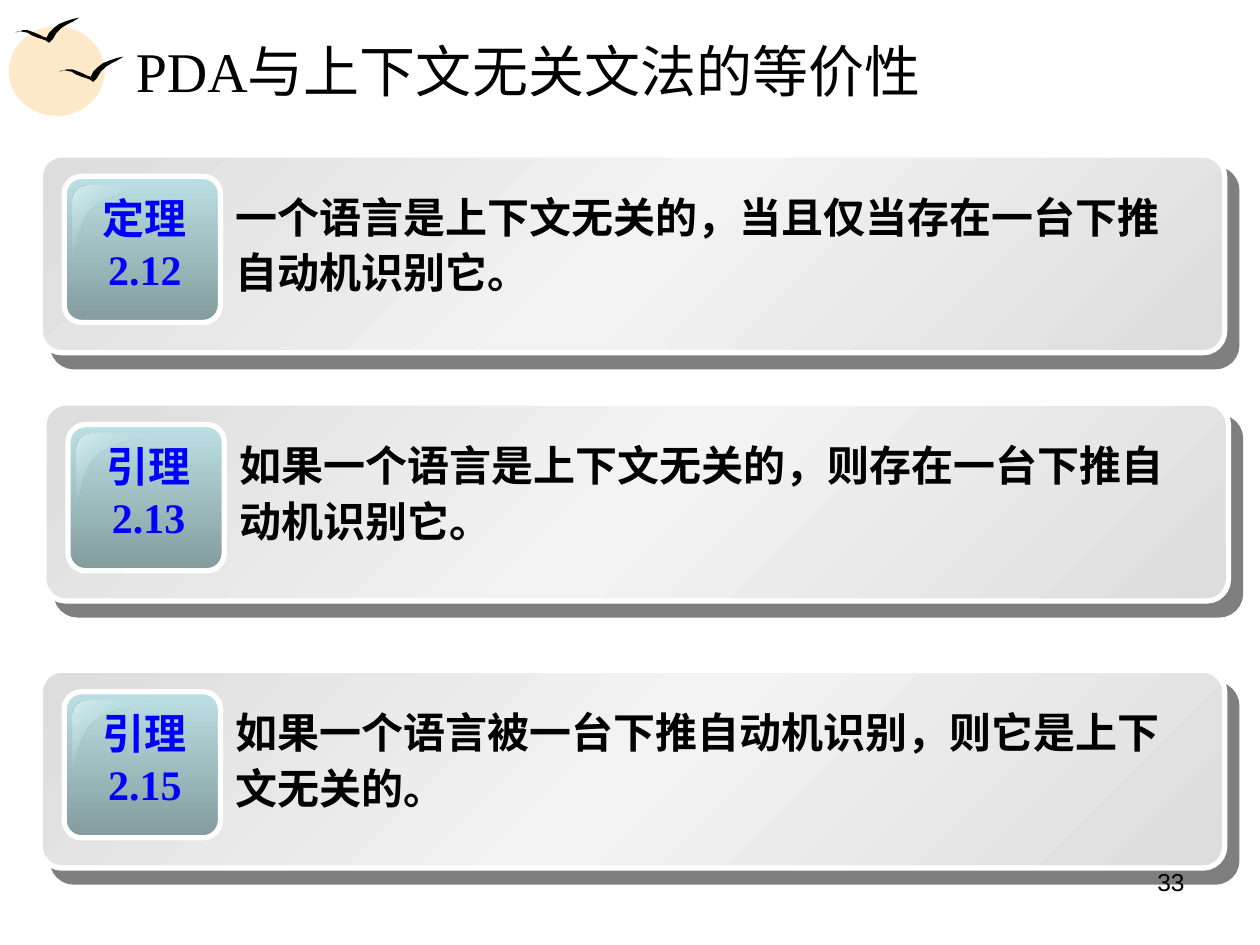
from lxml import etree
from pptx import Presentation
from pptx import util as u
from pptx.dml.color import RGBColor
from pptx.enum import shapes, text
from pptx.oxml.ns import qn

BLACK = RGBColor(0x00, 0x00, 0x00)
WHITE = RGBColor(0xFF, 0xFF, 0xFF)
BLUE = RGBColor(0x00, 0x00, 0xFF)
SUN = RGBColor(0xFE, 0xE9, 0xC8)
SILVER = RGBColor(0xDD, 0xDD, 0xDD)
PALE = RGBColor(0xF3, 0xF3, 0xF3)
TEAL = RGBColor(0xBB, 0xE0, 0xE3)
DARK_TEAL = RGBColor(0x83, 0x9C, 0x9E)
SHINE = RGBColor(0xDA, 0xEE, 0xF0)

# Bird outline, in hundredths of an inch from its top left corner
BIRD = [(0, 12), (3, 11), (6, 10), (10, 10), (13, 11), (18, 13), (22, 15), (25, 16),
        (27, 12), (31, 8), (35, 5), (40, 3), (46, 1), (51, 0), (46, 3), (42, 5),
        (37, 8), (33, 12), (30, 17), (28, 19), (27, 20), (24, 18), (21, 17),
        (18, 16), (13, 14), (10, 12), (5, 11), (2, 11)]

CARDS = [
    (0.32, 1.23, "定理", "2.12", "一个语言是上下文无关的，当且仅当存在一台下推自动机识别它。"),
    (0.35, 3.2, "引理", "2.13", "如果一个语言是上下文无关的，则存在一台下推自动机识别它。"),
    (0.32, 5.32, "引理", "2.15", "如果一个语言被一台下推自动机识别，则它是上下文无关的。"),
]


def bezier(start, first, second, end, steps=12):
    """Points along a cubic curve, without its start."""
    points = []
    for step in range(1, steps + 1):
        t = step / steps
        weights = ((1 - t) ** 3, 3 * t * (1 - t) ** 2, 3 * t * t * (1 - t), t ** 3)
        points.append(tuple(
            sum(w * p[axis] for w, p in zip(weights, (start, first, second, end)))
            for axis in (0, 1)))
    return points


# Highlight of a badge, in inches from its top left corner
GLOSS = ([(0.13, 0)]
         + bezier((0.13, 0), (0.06, 0), (0, 0.05), (0, 0.12))
         + [(0, 0.57)]
         + bezier((0, 0.57), (0.03, 0.58), (0.02, 0.3), (0.17, 0.17))
         + bezier((0.17, 0.17), (0.32, 0.04), (0.62, 0.03), (0.61, 0)))


class Painter:
    serif, sans = "Times New Roman", "Arial"

    def __init__(self, page):
        self.page = page
        self.canvas = page.shapes

    def open_group(self):
        self.canvas = self.page.shapes.add_group_shape().shapes

    def close_group(self):
        self.canvas = self.page.shapes

    def plain(self, shape, color):
        shape.shadow.inherit = False
        shape.fill.solid()
        shape.fill.fore_color.rgb = color
        shape.line.fill.background()
        return shape

    def gradient(self, shape, stops, angle):
        solid = shape._element.spPr.find(qn("a:solidFill"))
        grad = etree.Element(qn("a:gradFill"), rotWithShape="1")
        stop_list = etree.SubElement(grad, qn("a:gsLst"))
        for place, color, alpha in stops:
            stop = etree.SubElement(stop_list, qn("a:gs"), pos=str(place * 1000))
            tone = etree.SubElement(stop, qn("a:srgbClr"), val=str(color))
            if alpha < 100:
                etree.SubElement(tone, qn("a:alpha"), val=str(alpha * 1000))
        etree.SubElement(grad, qn("a:lin"), ang=str(angle * 60000), scaled="1")
        solid.getparent().replace(solid, grad)

    def ellipse(self, left, top, width, height, color):
        shape = self.canvas.add_shape(
            shapes.MSO_SHAPE.OVAL, *map(u.Inches, (left, top, width, height)))
        self.plain(shape, color)

    def rounded(self, left, top, width, height, corner, stops, angle):
        shape = self.canvas.add_shape(
            shapes.MSO_SHAPE.ROUNDED_RECTANGLE,
            *map(u.Inches, (left, top, width, height)))
        shape.adjustments[0] = corner
        self.plain(shape, WHITE)
        self.gradient(shape, stops, angle)
        shape.line.color.rgb = WHITE
        shape.line.width = u.Pt(3)
        return shape

    def drop_shadow(self, shape):
        effects = shape._element.spPr.find(qn("a:effectLst"))
        shadow = etree.SubElement(
            effects, qn("a:outerShdw"), dist=str(u.Pt(10.6)),
            dir=str(49 * 60000), algn="ctr", rotWithShape="0")
        tone = etree.SubElement(shadow, qn("a:srgbClr"), val=str(BLACK))
        etree.SubElement(tone, qn("a:alpha"), val="50000")

    def outline(self, left, top, points, color):
        spots = [(u.Inches(left + x), u.Inches(top + y)) for x, y in points]
        builder = self.canvas.build_freeform(*spots[0])
        builder.add_line_segments(spots[1:], close=True)
        return self.plain(builder.convert_to_shape(), color)

    def text(self, left, top, width, height, lines, size, color=BLACK, font=None,
             bold=False, align=text.PP_ALIGN.LEFT, anchor=text.MSO_ANCHOR.TOP,
             spacing=1.0, grow=False):
        box = self.canvas.add_textbox(*map(u.Inches, (left, top, width, height)))
        frame = box.text_frame
        frame.word_wrap = True
        frame.vertical_anchor = anchor
        if grow:
            frame.auto_size = text.MSO_AUTO_SIZE.SHAPE_TO_FIT_TEXT
        for index, line in enumerate(lines):
            para = frame.add_paragraph() if index else frame.paragraphs[0]
            para.alignment = align
            para.line_spacing = spacing
            span = para.add_run()
            span.text = line
            span.font.name = font or self.serif
            span.font.size = u.Pt(size)
            span.font.bold = bold
            span.font.color.rgb = color

    def card(self, left, top, kind, number, statement):
        self.open_group()
        panel = self.rounded(left, top, 9.4, 1.57, 0.109,
                             [(0, SILVER, 100), (50, PALE, 100), (100, SILVER, 100)], 45)
        self.drop_shadow(panel)
        self.rounded(left + 0.19, top + 0.17, 1.24, 1.16, 0.119,
                     [(0, TEAL, 100), (100, DARK_TEAL, 100)], 90)
        gloss = self.outline(left + 0.26, top + 0.24, GLOSS, SHINE)
        self.gradient(gloss, [(0, SHINE, 100), (50, TEAL, 0), (100, SHINE, 100)], 45)
        self.text(left + 0.36, top + 0.25, 0.94, 0.9, [kind, number], 24, BLUE,
                  bold=True, align=text.PP_ALIGN.CENTER, grow=True)
        self.text(left + 1.45, top + 0.2, 7.56, 0.98, [statement], 24,
                  bold=True, spacing=1.1, grow=True)
        self.close_group()


def main():
    deck = Presentation()
    deck.slide_width, deck.slide_height = u.Inches(10), u.Inches(7.5)
    painter = Painter(deck.slides.add_slide(deck.slide_layouts[6]))

    # Sun and birds
    painter.ellipse(0.07, 0.21, 0.76, 0.71, SUN)
    painter.ellipse(0.2, 0.28, 0.63, 0.55, SUN)
    bird = [(x / 100, y / 100) for x, y in BIRD]
    for left, top in ((0.47, 0.45), (0.12, 0.14)):
        painter.outline(left, top, bird, BLACK)

    # Page number and title
    painter.text(7.17, 6.83, 2.33, 0.52, ["33"], 14, font=painter.sans,
                 align=text.PP_ALIGN.RIGHT)
    painter.text(0.98, 0.21, 8.53, 0.69, ["PDA与上下文无关文法的等价性"], 32,
                 anchor=text.MSO_ANCHOR.MIDDLE)

    # Theorem and lemmas
    for card in CARDS:
        painter.card(*card)

    deck.save("out.pptx")


if __name__ == "__main__":
    main()
